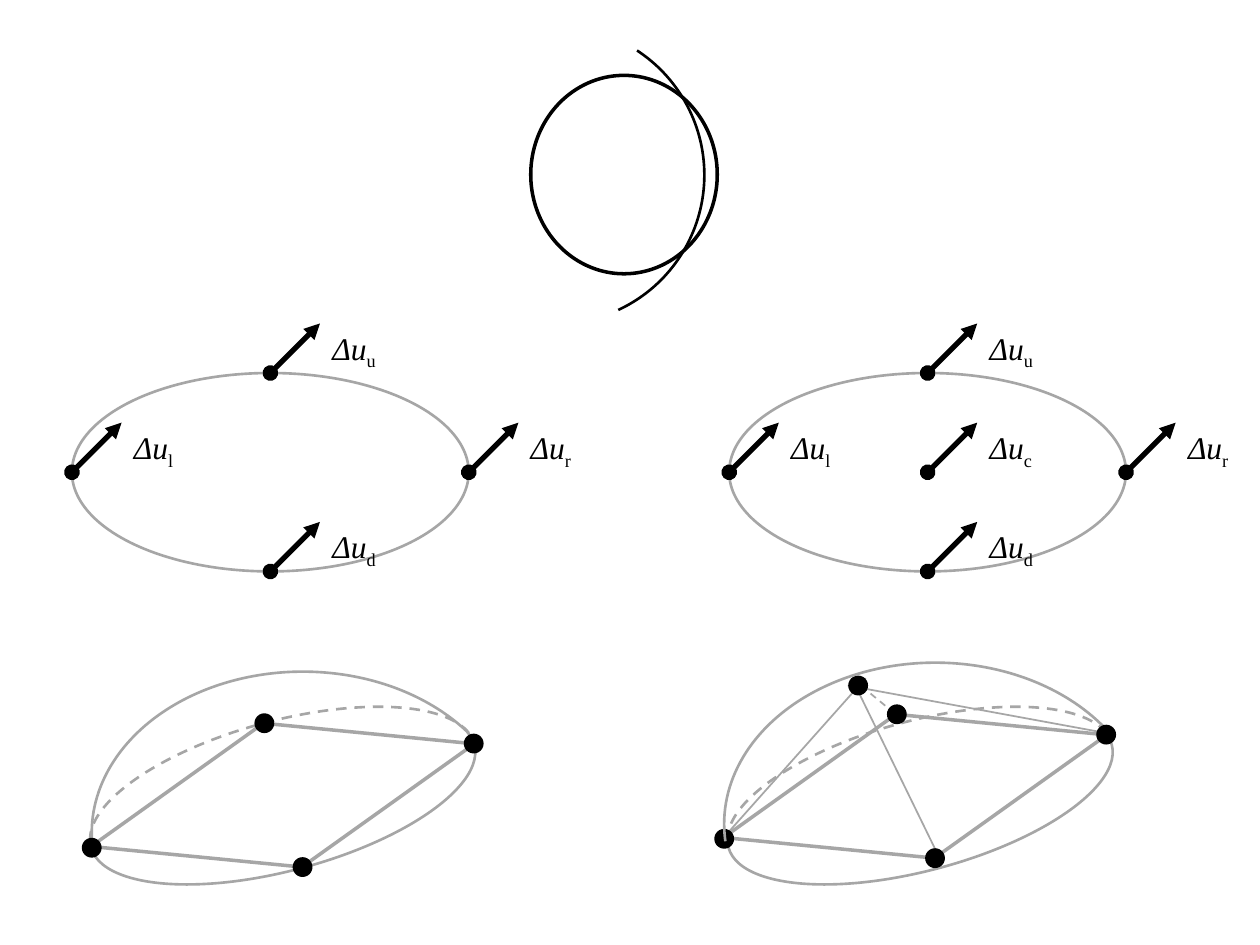
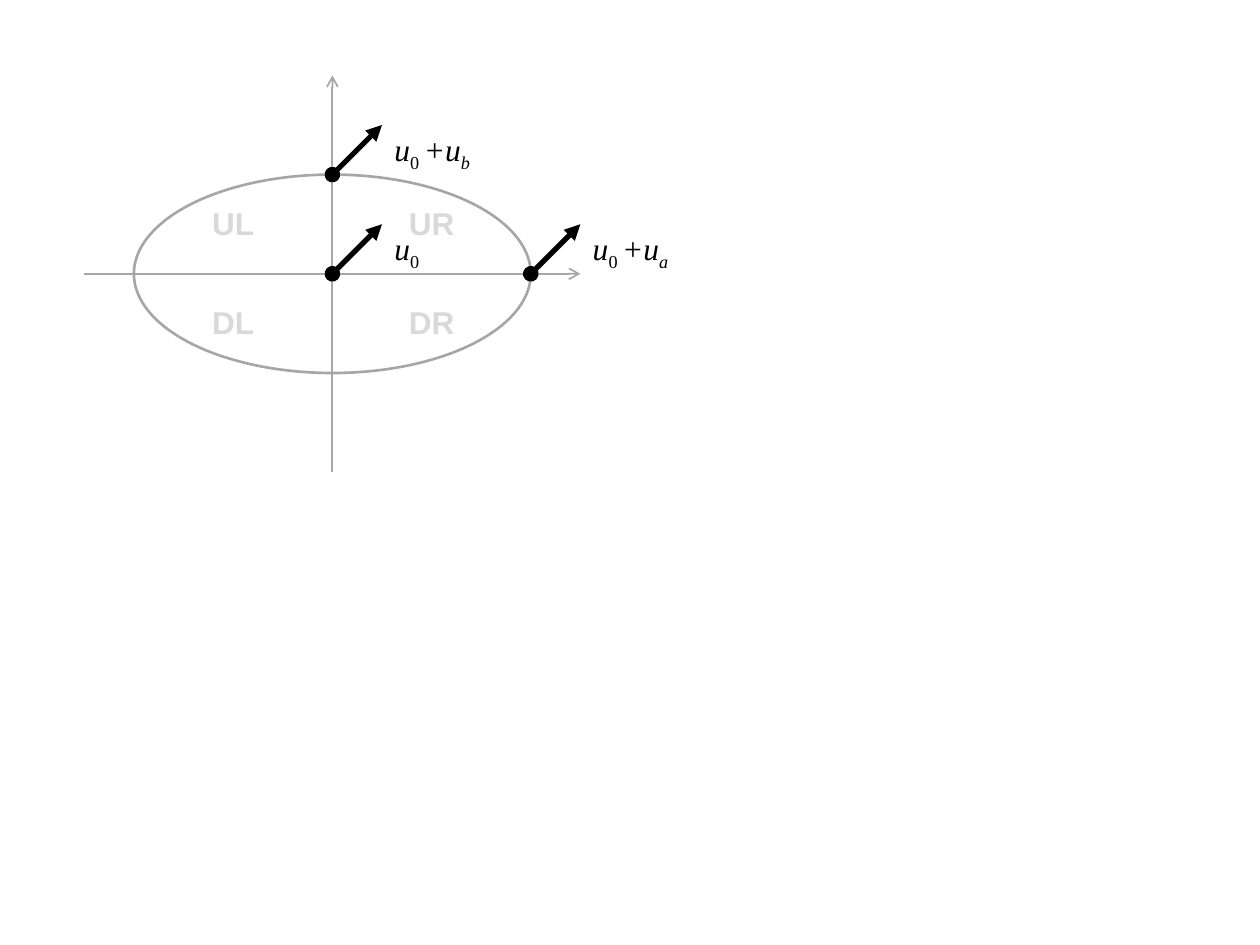
"""Build two slides of displaced ellipses on a grid of one-centimetre cells."""
import dataclasses

import lxml.etree
import pptx
import pptx.dml.color
import pptx.enum.dml
import pptx.enum.shapes
import pptx.enum.text
import pptx.oxml.ns
import pptx.util

KIND = pptx.enum.shapes.MSO_SHAPE
RGB = pptx.dml.color.RGBColor.from_string
CELL = pptx.util.Cm(1)
COLS, ROWS = 25.4, 19.05


@dataclasses.dataclass(frozen=True)
class Theme:
    """Hold the colours, fonts and sizes of both slides."""
    black: str = "000000"
    grey: str = "A6A6A6"
    pale: str = "D9D9D9"
    white: str = "FFFFFF"
    serif: str = "Times New Roman"
    sans: str = "Arial"
    size: int = 18
    thin: float = 1
    curve: float = 1.5
    bold: float = 2
    heavy: float = 3


LOOK = Theme()
OVAL = (8, 4)
RIM = (1.7, 14.53, 8, 3)
DOME = (1.85, 13.54, 8.51, 6.5)
KNOTS = [(5.33, 14.58), (6.1, 17.48), (1.85, 17.09), (9.55, 14.99)]
SIDES = {"u": (0, -2, 1.42), "r": (4, 0, 1.35), "d": (0, 2, 1.42),
         "l": (-4, 0, 1.32), "c": (0, 0, 1.4)}
WIRES = [((17.17, 13.67), (18.24, 14.55), True),
         ((17.09, 13.82), (22.48, 14.81), False),
         ((17.17, 13.67), (19, 17.42), False),
         ((17.45, 13.67), (14.45, 17.04), False)]


def put(thing, **vals):
    """Set each named value on an object."""
    for key, val in vals.items():
        setattr(thing, key, val)


def grid(*nums):
    """Turn counts of grid cells into lengths."""
    return [pptx.util.Emu(round(num * CELL)) for num in nums]


def move(box, dx, dy):
    """Shift a box or a point by columns and rows."""
    return (box[0] + dx, box[1] + dy, *box[2:])


def pen(shape, tone, width, dash=False):
    """Style the line of a shape."""
    shape.line.color.rgb = RGB(tone)
    shape.line.width = pptx.util.Pt(width)
    if dash:
        shape.line.dash_style = pptx.enum.dml.MSO_LINE.DASH


def form(pool, kind, box, tone=LOOK.grey, width=LOOK.curve, dash=False, turn=0, span=()):
    """Draw an unfilled preset shape, with an arc's span in degrees."""
    shape = pool.add_shape(kind, *grid(*box))
    put(shape, rotation=turn)
    shape.shadow.inherit = False
    shape.fill.background()
    pen(shape, tone, width, dash)
    for num, angle in enumerate(span):
        shape.adjustments[num] = angle * 0.6


def dot(pool, x, y):
    """Draw a black dot centred on a point."""
    shape = pool.add_shape(KIND.OVAL, *grid(x - 0.2, y - 0.2, 0.4, 0.4))
    shape.shadow.inherit = False
    shape.fill.solid()
    shape.fill.fore_color.rgb = RGB(LOOK.black)
    shape.line.fill.background()


def wire(pool, start, end, tone=LOOK.grey, width=LOOK.thin, dash=False, **ends):
    """Draw a straight line with optional headEnd and tailEnd marks."""
    line = pool.add_connector(pptx.enum.shapes.MSO_CONNECTOR.STRAIGHT, *grid(*start, *end))
    pen(line, tone, width, dash)
    props = line._element.spPr
    stroke = props.find(pptx.oxml.ns.qn("a:ln"))
    for name, mark in ends.items():
        lxml.etree.SubElement(stroke, pptx.oxml.ns.qn("a:" + name), type=mark)
    lxml.etree.SubElement(props, pptx.oxml.ns.qn("a:effectLst"))


def shift(pool, x, y):
    """Draw a displacement arrow that starts on a point."""
    wire(pool, (x, y), (x + 1, y - 1), LOOK.black, LOOK.heavy,
         headEnd="oval", tailEnd="triangle")


def label(pool, x, y, width, runs):
    """Write a symbol beside the arrow from a point; runs give text, slant, lowered."""
    box = pool.add_textbox(*grid(x + 1, y - 1.02, width, 1.02))
    put(box.text_frame, word_wrap=False,
        auto_size=pptx.enum.text.MSO_AUTO_SIZE.SHAPE_TO_FIT_TEXT)
    for text, slant, low in runs:
        run = box.text_frame.paragraphs[0].add_run()
        run.text = text
        put(run.font, name=LOOK.serif, size=pptx.util.Pt(LOOK.size), italic=slant)
        run.font.color.rgb = RGB(LOOK.black)
        if low:
            run._r.get_or_add_rPr().set("baseline", "-25000")


def field(slide, x, y, keys):
    """Draw an ellipse about a point with an arrow and label per key."""
    pool = slide.shapes.add_group_shape().shapes
    form(pool, KIND.OVAL, (x - 4, y - 2, *OVAL))
    for key in keys:
        dx, dy, width = SIDES[key]
        shift(pool, x + dx, y + dy)
        label(pool, x + dx, y + dy, width, [("Δu", True, False), (key, False, True)])


def rim(pool, dx, dy):
    """Draw the tilted base curve, dashed behind and solid in front."""
    back = move(RIM, dx, dy)
    form(pool, KIND.ARC, back, dash=True, turn=345, span=(181.45, 356.86))
    form(pool, KIND.ARC, move(back, 0, 0.02), turn=345, span=(356.04, 180.42))


def base(pool, dx, dy):
    """Draw the tilted diamond."""
    form(pool, KIND.DIAMOND, move(RIM, dx, dy), width=LOOK.bold, turn=345)


def dots(pool, spots, dx=0, dy=0):
    """Draw dots on shifted points."""
    for spot in spots:
        dot(pool, *move(spot, dx, dy))


def domes(slide):
    """Draw the flat dome and the one with a raised peak."""
    pool = slide.shapes.add_group_shape().shapes
    rim(pool, 0, 0)
    form(pool, KIND.ARC, DOME, span=(175.85, 328.62))
    base(pool, 0, 0)
    dots(pool, KNOTS)

    pool = slide.shapes.add_group_shape().shapes
    step = (12.75, -0.18)
    rim(pool, 12.85, 0)
    for start, end, dash in WIRES:
        wire(pool, start, end, dash=dash)
    dot(pool, 17.3, 13.82)
    base(pool, *step)
    dots(pool, KNOTS[:3], *step)
    form(pool, KIND.ARC, move(DOME, *step), span=(175.26, 332.89))
    dots(pool, KNOTS[3:], *step)


def zones(slide, x, y):
    """Place the table that names the four quarters about a point."""
    table = slide.shapes.add_table(2, 2, *grid(x - 4, y - 2, *OVAL)).table
    put(table, first_row=False, horz_banding=False)
    for cell, text in zip(table.iter_cells(), ("UL", "UR", "DL", "DR")):
        cell.text = text
        cell.fill.background()
        put(cell, vertical_anchor=pptx.enum.text.MSO_ANCHOR.MIDDLE)
        para = cell.text_frame.paragraphs[0]
        put(para, alignment=pptx.enum.text.PP_ALIGN.CENTER)
        font = para.runs[0].font
        put(font, name=LOOK.sans, size=pptx.util.Pt(LOOK.size), bold=True)
        font.color.rgb = RGB(LOOK.pale)
        edge(cell)


def edge(cell):
    """Give a cell white borders on all sides."""
    props = cell._tc.get_or_add_tcPr()
    for num, side in enumerate("LRTB"):
        line = lxml.etree.Element(pptx.oxml.ns.qn("a:ln" + side),
                                  w=str(pptx.util.Pt(LOOK.thin)))
        fill = lxml.etree.SubElement(line, pptx.oxml.ns.qn("a:solidFill"))
        lxml.etree.SubElement(fill, pptx.oxml.ns.qn("a:srgbClr"), val=LOOK.white)
        props.insert(num, line)


def axes(slide, x, y):
    """Draw the crossed axes through a point."""
    wire(slide.shapes, (x, y + 4), (x, y - 4), tailEnd="arrow")
    wire(slide.shapes, (x - 5, y), (x + 5, y), tailEnd="arrow")


def model(slide, x, y):
    """Draw the ellipse whose arrows follow its two axes."""
    zones(slide, x, y)
    axes(slide, x, y)
    pool = slide.shapes.add_group_shape().shapes
    form(pool, KIND.OVAL, (x - 4, y - 2, *OVAL))
    for dx, dy, name in ((0, -2, "b"), (4, 0, "a"), (0, 0, "")):
        shift(pool, x + dx, y + dy)
        runs = [("u", True, False), ("0 " if name else "0", False, True)]
        if name:
            runs += [("+u", True, False), (name, True, True)]
        label(pool, x + dx, y + dy, 2.11 if name else 1.04, runs)


def main():
    """Build and save both slides."""
    deck = pptx.Presentation()
    wide, high = grid(COLS, ROWS)
    put(deck, slide_width=wide, slide_height=high)
    first, second = (deck.slides.add_slide(deck.slide_layouts[6]) for _ in range(2))
    field(first, 18.7, 9.52, "urdlc")
    field(first, 5.45, 9.52, "urdl")
    domes(first)
    form(first.shapes, KIND.OVAL, (10.7, 1.52, 3.76, 4), LOOK.black, LOOK.bold)
    form(first.shapes, KIND.ARC, (8.2, 0.53, 6, 6), LOOK.black, span=(303.21, 65.06))
    model(second, 6.7, 5.52)
    deck.save("out.pptx")


if __name__ == "__main__":
    main()
